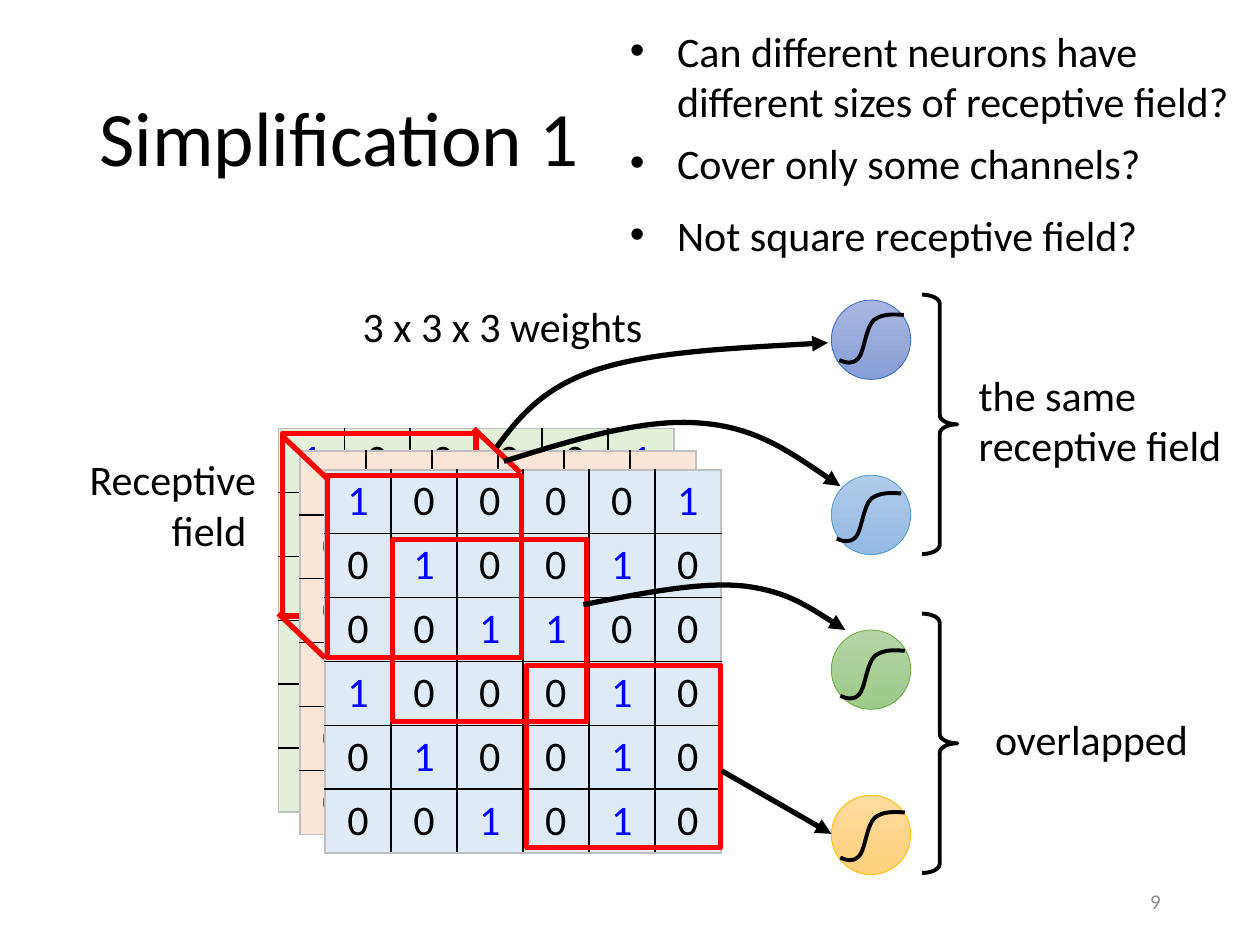
import lxml.etree
import pptx
import pptx.dml.color
import pptx.enum.dml
import pptx.enum.shapes
import pptx.enum.text
import pptx.oxml.ns
import pptx.util

Cm, Pt = pptx.util.Cm, pptx.util.Pt
qn = pptx.oxml.ns.qn
ALIGN, ANCHOR = pptx.enum.text.PP_ALIGN, pptx.enum.text.MSO_ANCHOR
SHAPE = pptx.enum.shapes.MSO_SHAPE

# Theme: colours, type sizes and line weights
THEME = dict(font="Calibri", black="000000", one="0000FF", field="FF0000",
             edge="BFBFBF", grey="8C8C8C", title=44, body=24, small=12,
             thick=3, medium=2.25, thin=0.5, grid=1)

# Content; all lengths are in centimetres
TITLE = "Simplification 1"
MATRIX = ["100001", "010010", "001100", "100010", "010010", "001010"]
CELL = (1.33, 1.27)
CHANNELS = [(5.61, 8.64, "E2F0D9"), (6.05, 9.09, "FBE5D6"), (6.55, 9.47, "DEEBF7")]
FIELD_SIZE = (3.91, 3.68)
BACK_FIELD = (5.69, 8.74)
FRONT_FIELDS = [(6.6, 9.58), (7.92, 10.87), (10.62, 13.41)]
DEPTH = (0.94, 0.89)
DEPTH_STARTS = [(5.61, 12.37), (9.55, 8.64), (5.69, 8.79)]
NEURON_LEFT, NEURON_SIZE = 16.76, 1.6
NEURONS = [  # top, gradient from, gradient to, outline, sigmoid corner
    (6.05, "A8B7DF", "889ED7", "4472C4", (16.92, 6.33)),
    (9.58, "B1CBE9", "93B9E4", "5B9BD5", (16.87, 9.93)),
    (12.7, "B5D5A7", "9CC987", "70AD47", (16.94, 13.1)),
    (16.03, "FFDB9E", "FFD07C", "FFC000", (16.94, 16.36)),
]
SIGMOID = [(1.3, 0.02), (1.07, 0), (0.86, 0), (0.7, 0.12), (0.53, 0.27),
           (0.5, 0.78), (0.38, 0.9), (0.25, 1.03), (0.12, 0.98), (0, 0.93)]
CURVED_ARROWS = [
    [(10.01, 9.02), (10.46, 8.41), (10.95, 7.8), (12.07, 7.44),
     (13.18, 7.09), (14.94, 7.01), (16.69, 6.91)],
    [(11.76, 12.19), (12.93, 11.96), (14.1, 11.73), (14.96, 11.81),
     (15.85, 11.91), (16.43, 12.32), (17.04, 12.7)],
    [(10.16, 9.3), (11.58, 8.86), (12.98, 8.43), (14.12, 8.53),
     (15.24, 8.61), (16.08, 9.22), (16.94, 9.8)],
]
STRAIGHT_ARROW = ((14.55, 15.54), (16.76, 16.81))
BRACE_TOPS = [5.94, 12.37]
LABELS = [  # text, left, top, width, height, format
    ("3 x 3 x 3 weights", 7.06, 5.94, 6.3, 1.27, {}),
    ("Receptive field ", 1.5, 9.02, 3.91, 2.31, dict(align=ALIGN.RIGHT)),
    ("the same receptive field", 19.48, 7.32, 6.2, 2.31, {}),
    ("Can different neurons have different sizes of receptive field?",
     12.45, 0.38, 12.83, 2.31, dict(bullet=True)),
    ("Cover only some channels?", 12.45, 2.64, 11.71, 1.27, dict(bullet=True)),
    ("Not square receptive field?", 12.45, 4.09, 12.83, 1.27, dict(bullet=True)),
    ("overlapped", 19.81, 14.25, 5.03, 1.27, {}),
    ("9", 17.93, 17.65, 5.72, 1.02,
     dict(size=THEME["small"], color=THEME["grey"], align=ALIGN.RIGHT,
          anchor=ANCHOR.MIDDLE)),
]


def rgb(color):
    return pptx.dml.color.RGBColor.from_string(color)


def write(frame, text, size=THEME["body"], color=THEME["black"], align=ALIGN.LEFT,
          anchor=ANCHOR.TOP, spacing=None, bullet=False):
    frame.word_wrap = True
    frame.vertical_anchor = anchor
    para = frame.paragraphs[0]
    para.alignment = align
    para.line_spacing = spacing
    span = para.add_run()
    span.text = text
    span.font.name, span.font.size = THEME["font"], Pt(size)
    span.font.color.rgb = rgb(color)
    if bullet:
        props = para._p.get_or_add_pPr()
        props.set("marL", str(Cm(0.95)))
        props.set("indent", str(-Cm(0.95)))
        lxml.etree.SubElement(props, qn("a:buFont"), typeface="Arial")
        lxml.etree.SubElement(props, qn("a:buChar"), char="•")


def draw_line(shape, color, weight, arrow=False):
    shape.line.color.rgb = rgb(color)
    shape.line.width = Pt(weight)
    if arrow:
        lxml.etree.SubElement(shape.line._get_or_add_ln(), qn("a:tailEnd"), type="triangle")


def add_outline(page, kind, left, top, width, height, color, weight):
    shape = page.shapes.add_shape(kind, Cm(left), Cm(top), Cm(width), Cm(height))
    shape.shadow.inherit = False
    shape.fill.background()
    draw_line(shape, color, weight)
    return shape


def add_straight(page, start, end, color, arrow=False):
    line = page.shapes.add_connector(pptx.enum.shapes.MSO_CONNECTOR.STRAIGHT,
                                     *(Cm(value) for value in (*start, *end)))
    draw_line(line, color, THEME["thick"], arrow)
    lxml.etree.SubElement(line._element.spPr, qn("a:effectLst"))


def add_curve(page, points, weight, arrow=False):
    """Draw a chain of cubic curves: a start, then three points per curve."""
    points = [(Cm(x), Cm(y)) for x, y in points]
    builder = page.shapes.build_freeform(*points[0])
    builder.add_line_segments(points[1:], close=False)
    shape = builder.convert_to_shape()
    segments = shape._element.xpath(".//a:lnTo")
    outline = segments[0].getparent()
    for first in range(0, len(segments), 3):
        cubic = lxml.etree.SubElement(outline, qn("a:cubicBezTo"))
        for segment in segments[first:first + 3]:
            cubic.append(segment[0])
            outline.remove(segment)
    shape.shadow.inherit = False
    shape.fill.background()
    draw_line(shape, THEME["black"], weight, arrow)


def set_borders(cell, row, column):
    """Black lines inside the grid, grey ones around it."""
    props = cell._tc.get_or_add_tcPr()
    last = len(MATRIX) - 1
    outer = dict(lnL=column == 0, lnR=column == last, lnT=row == 0, lnB=row == last)
    for index, (side, is_outer) in enumerate(outer.items()):
        line = lxml.etree.Element(qn("a:" + side), w=str(Pt(THEME["grid"])))
        fill = lxml.etree.SubElement(line, qn("a:solidFill"))
        lxml.etree.SubElement(fill, qn("a:srgbClr"),
                              val=THEME["edge" if is_outer else "black"])
        props.insert(index, line)


def add_channel(page, left, top, color):
    count = len(MATRIX)
    table = page.shapes.add_table(count, count, Cm(left), Cm(top),
                                  Cm(CELL[0] * count), Cm(CELL[1] * count)).table
    table.first_row = table.horz_banding = False
    for row, digits in enumerate(MATRIX):
        for column, digit in enumerate(digits):
            cell = table.cell(row, column)
            cell.fill.solid()
            cell.fill.fore_color.rgb = rgb(color)
            write(cell.text_frame, digit, align=ALIGN.CENTER,
                  color=THEME["one" if digit == "1" else "black"])
            set_borders(cell, row, column)


def add_field(page, left, top):
    add_outline(page, SHAPE.RECTANGLE, left, top, *FIELD_SIZE, THEME["field"], THEME["thick"])


def main():
    deck = pptx.Presentation()
    deck.slide_width, deck.slide_height = Cm(25.4), Cm(19.05)
    page = deck.slides.add_slide(deck.slide_layouts[5])

    # Title
    title = page.shapes.title
    title.left, title.top, title.width, title.height = Cm(1.75), Cm(1.02), Cm(21.9), Cm(3.68)
    write(title.text_frame, TITLE, size=THEME["title"], anchor=ANCHOR.MIDDLE, spacing=0.9)

    # Channels and receptive fields, from back to front
    add_channel(page, *CHANNELS[0])
    add_field(page, *BACK_FIELD)
    for channel in CHANNELS[1:]:
        add_channel(page, *channel)
    for corner in FRONT_FIELDS:
        add_field(page, *corner)
    for x, y in DEPTH_STARTS:
        add_straight(page, (x, y), (x + DEPTH[0], y + DEPTH[1]), THEME["field"])

    # Neurons with their sigmoids
    for top, light, dark, edge, (x, y) in NEURONS:
        neuron = add_outline(page, SHAPE.OVAL, NEURON_LEFT, top, NEURON_SIZE, NEURON_SIZE,
                             edge, THEME["thin"])
        neuron.fill.gradient()
        neuron.fill.gradient_angle = 270
        for stop, color in zip(neuron.fill.gradient_stops, (light, dark)):
            stop.color.rgb = rgb(color)
        add_curve(page, [(x + dx, y + dy) for dx, dy in SIGMOID], THEME["medium"])

    # Arrows from fields to neurons
    for points in CURVED_ARROWS:
        add_curve(page, points, THEME["thick"], arrow=True)
    add_straight(page, *STRAIGHT_ARROW, THEME["black"], arrow=True)

    # Braces
    for top in BRACE_TOPS:
        brace = add_outline(page, SHAPE.RIGHT_BRACE, 18.59, top, 0.71, 5.23,
                            THEME["black"], THEME["medium"])
        brace.adjustments[0] = 0.26

    # Labels, questions and page number
    for text, left, top, width, height, style in LABELS:
        box = page.shapes.add_textbox(Cm(left), Cm(top), Cm(width), Cm(height))
        write(box.text_frame, text, **style)

    deck.save("out.pptx")


if __name__ == "__main__":
    main()
